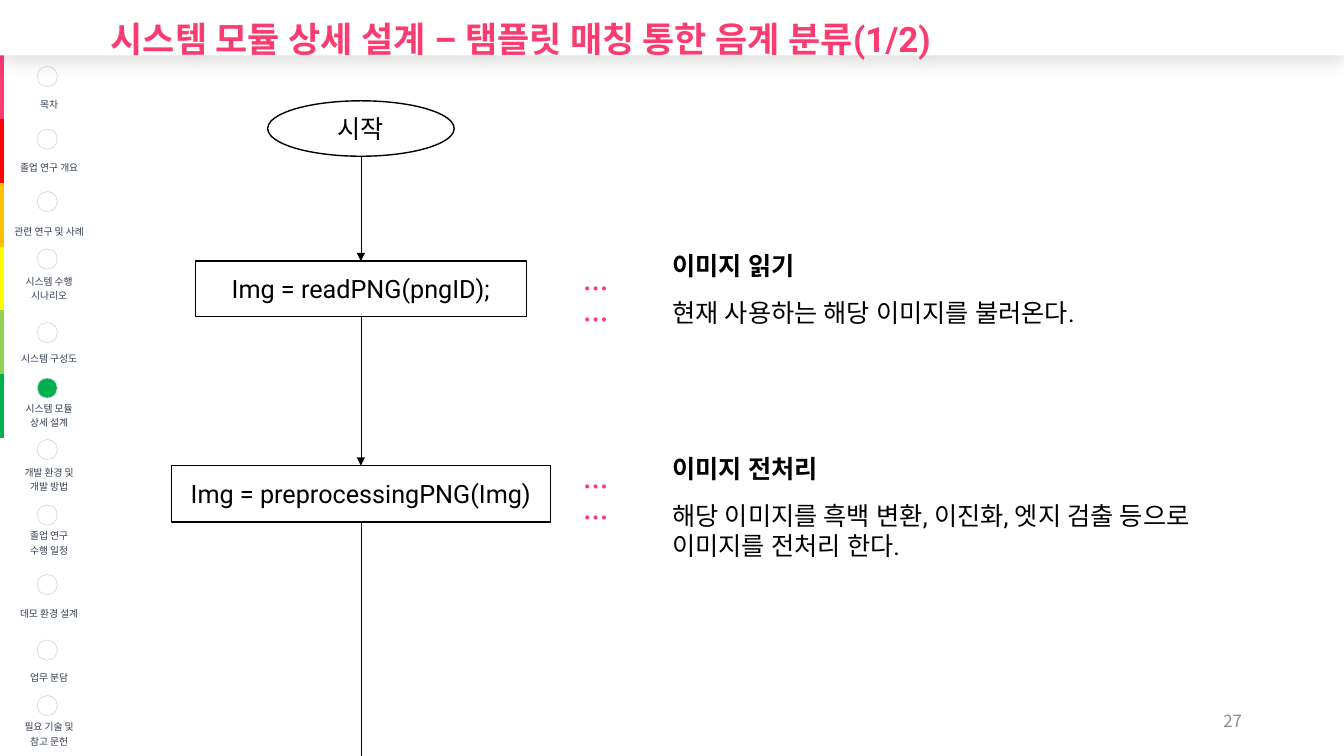
from lxml import etree
from pptx import Presentation
from pptx.dml.color import RGBColor
from pptx.enum import shapes, text
from pptx.oxml import ns
from pptx.util import Pt

COLORS = {
    "pink": "FA3C71", "dots": "FB3D71", "red": "FF0000", "orange": "FFC000",
    "yellow": "FFFF00", "lime": "93D050", "green": "00B050", "white": "FFFFFF",
    "black": "000000", "slate": "333F50", "ring": "D9D9D9", "number": "8C8C8C",
}
LATIN, KOREAN = "Roboto", "Noto Sans CJK KR"
NO_TABLE_STYLE = "{2D5ABB26-0587-4C30-8999-92F81FD0307C}"
CHAPTERS = [
    ("pink", 47.5, ["목차"]),
    ("red", 92.2, ["졸업 연구 개요"]),
    ("orange", 136.8, ["관련 연구 및 사례"]),
    ("yellow", 177.8, ["시스템 수행", "시나리오"]),
    ("lime", 230.4, ["시스템 구성도"]),
    ("green", 270, ["시스템 모듈", "상세 설계"]),
    ("white", 313.9, ["개발 환경 및", "개발 방법"]),
    ("white", 360.7, ["졸업 연구", "수행 일정"]),
    ("white", 410.4, ["데모 환경 설계"]),
    ("white", 457.2, ["업무 분담"]),
    ("white", 496.8, ["필요 기술 및", "참고 문헌"]),
]
CURRENT_CHAPTER = 5
STEPS = [
    (186.5, 236.2, 39.6, "Img = readPNG(pngID);", 191.5, 175, "이미지 읽기",
     "현재 사용하는 해당 이미지를 불러온다."),
    (332.6, 270.7, 40.3, "Img = preprocessingPNG(Img)", 332.6, 320.4, "이미지 전처리",
     "해당 이미지를 흑백 변환, 이진화, 엣지 검출 등으로 이미지를 전처리 한다."),
]


def rgb(color):
    """Look up a colour by name."""
    return RGBColor.from_string(COLORS[color])


def add_run(paragraph, words, size, color="black", bold=False, latin=LATIN, korean=LATIN):
    """Append one formatted run to a paragraph."""
    run = paragraph.add_run()
    run.text = words
    run.font.size, run.font.bold, run.font.name = Pt(size), bold, latin
    run.font.color.rgb = rgb(color)
    east_asian = etree.SubElement(run.font._element, ns.qn("a:ea"))
    east_asian.set("typeface", korean)


def add_node(slide, kind, left, top, width, height, fill="white", line="black", weight=1):
    """Draw an outlined shape without shadow."""
    node = slide.shapes.add_shape(kind, Pt(left), Pt(top), Pt(width), Pt(height))
    node.shadow.inherit = False
    node.fill.solid()
    node.fill.fore_color.rgb = rgb(fill)
    node.line.color.rgb = rgb(line)
    node.line.width = Pt(weight)
    return node


def add_label(node, words):
    """Centre a label inside a flow chart node."""
    frame = node.text_frame
    frame.word_wrap = True
    frame.vertical_anchor = text.MSO_ANCHOR.MIDDLE
    frame.paragraphs[0].alignment = text.PP_ALIGN.CENTER
    add_run(frame.paragraphs[0], words, 18)


def add_textbox(slide, left, top, width, height):
    """Place a wrapping text box and return its text frame."""
    frame = slide.shapes.add_textbox(Pt(left), Pt(top), Pt(width), Pt(height)).text_frame
    frame.word_wrap = True
    return frame


def add_flow_line(slide, center, top, bottom, arrow=True):
    """Draw a vertical flow line, with an arrowhead if it leads to a node."""
    flow = slide.shapes.add_connector(
        shapes.MSO_CONNECTOR.STRAIGHT, Pt(center), Pt(top), Pt(center), Pt(bottom))
    flow.line.color.rgb = rgb("black")
    flow.line.width = Pt(0.5)
    if arrow:
        outline = flow.line._get_or_add_ln()
        etree.SubElement(outline, ns.qn("a:tailEnd")).set("type", "triangle")
    etree.SubElement(flow.element.spPr, ns.qn("a:effectLst"))
    return flow


def add_sidebar(slide, left, top, color_width, name_width, row_height):
    """List the chapters with a colour strip and a marker for each."""
    frame = slide.shapes.add_table(
        len(CHAPTERS), 2, Pt(left), Pt(top),
        Pt(color_width + name_width), Pt(row_height * len(CHAPTERS)))
    for style in frame.element.iter(ns.qn("a:tableStyleId")):
        style.text = NO_TABLE_STYLE
    chapters = frame.table
    chapters.first_row = chapters.horz_banding = False
    chapters.columns[0].width, chapters.columns[1].width = Pt(color_width), Pt(name_width)
    for row, (color, marker_top, lines) in enumerate(CHAPTERS):
        chapters.rows[row].height = Pt(row_height)
        strip, name = chapters.cell(row, 0), chapters.cell(row, 1)
        for cell, fill in ((strip, color), (name, "white")):
            cell.fill.solid()
            cell.fill.fore_color.rgb = rgb(fill)
            cell.margin_left = cell.margin_right = cell.margin_top = 0
            cell.margin_bottom = Pt(5.8)
        name.vertical_anchor = text.MSO_ANCHOR.BOTTOM
        for index, line in enumerate(lines):
            paragraph = name.text_frame.add_paragraph() if index else name.text_frame.paragraphs[0]
            paragraph.alignment = text.PP_ALIGN.CENTER
            add_run(paragraph, line, 7, "slate", korean=KOREAN)
        add_node(slide, shapes.MSO_SHAPE.OVAL, left + 27.1, marker_top, 14.4, 14.4,
                 "green" if row == CURRENT_CHAPTER else "white", "ring", 0.5)


def add_step_note(slide, left, dots_top, note_top, heading, explanation):
    """Explain a step beside it, led in by dots."""
    dots = add_textbox(slide, left, dots_top, 46.8, 28.8).paragraphs[0]
    dots.line_spacing = Pt(22)
    add_run(dots, "……", 18, "dots", True, KOREAN, KOREAN)
    note = add_textbox(slide, left + 63.4, note_top, 430, 80)
    add_run(note.paragraphs[0], heading, 18, bold=True)
    body = note.add_paragraph()
    body.space_before = Pt(12)
    add_run(body, explanation, 18)


def add_flow_chart(slide, center, top, bottom):
    """Chain the start and the processing steps down to the lower edge."""
    start_height = 39.6
    start = add_node(slide, shapes.MSO_SHAPE.OVAL, center - 66.6, top, 133.2, start_height)
    add_label(start, "시작")
    end, previous = top + start_height, None
    for step_top, width, height, code, dots_top, note_top, heading, explanation in STEPS:
        step = add_node(slide, shapes.MSO_SHAPE.FLOWCHART_PROCESS,
                        center - width / 2, step_top, width, height)
        add_label(step, code)
        flow = add_flow_line(slide, center, end, step_top)
        if previous:
            flow.begin_connect(previous, 2)
        flow.end_connect(step, 0)
        add_step_note(slide, center + 151.9, dots_top, note_top, heading, explanation)
        end, previous = step_top + height, step
    add_flow_line(slide, center, end, bottom, arrow=False).begin_connect(previous, 2)


def add_header(slide, left, top, width, height):
    """Turn the title into a white band that casts a shadow on the slide."""
    title = slide.shapes.title
    title.left, title.top, title.width, title.height = Pt(left), Pt(top), Pt(width), Pt(height)
    title.fill.solid()
    title.fill.fore_color.rgb = rgb("white")
    effects = etree.SubElement(title.element.spPr, ns.qn("a:effectLst"))
    shadow = etree.SubElement(effects, ns.qn("a:outerShdw"), blurRad=str(Pt(15)),
                              dist=str(Pt(3)), dir="5400000", algn="t", rotWithShape="0")
    shade = etree.SubElement(shadow, ns.qn("a:srgbClr"), val=COLORS["black"])
    etree.SubElement(shade, ns.qn("a:alpha"), val="15000")
    frame = title.text_frame
    frame.auto_size = text.MSO_AUTO_SIZE.NONE
    frame.word_wrap = True
    frame.vertical_anchor = text.MSO_ANCHOR.MIDDLE
    frame.margin_left = Pt(79.2)
    heading = frame.paragraphs[0]
    heading.alignment = text.PP_ALIGN.LEFT
    heading.line_spacing = 1.5
    add_run(heading, "시스템 모듈 상세 설계 – 탬플릿 매칭 통한 음계 분류(1/2)", 25, "pink", True)
    slide.shapes.element.append(title.element)


def add_page_number(slide, left, top, width, height):
    """Show the page number at the lower right."""
    frame = add_textbox(slide, left, top, width, height)
    frame.vertical_anchor = text.MSO_ANCHOR.MIDDLE
    frame.paragraphs[0].alignment = text.PP_ALIGN.RIGHT
    add_run(frame.paragraphs[0], "27", 12, "number", latin=KOREAN, korean=KOREAN)


def main():
    """Build the slide and save it."""
    deck = Presentation()
    deck.slide_width, deck.slide_height = Pt(960), Pt(540)
    slide = deck.slides.add_slide(deck.slide_layouts[5])
    add_page_number(slide, 678.2, 500.4, 216, 28.8)
    add_sidebar(slide, -0.5, 39.6, 3.6, 64, 45.5)
    add_flow_chart(slide, 257.8, 72, 540)
    add_header(slide, 0, 0, 960, 39.6)
    deck.save("out.pptx")


if __name__ == "__main__":
    main()
